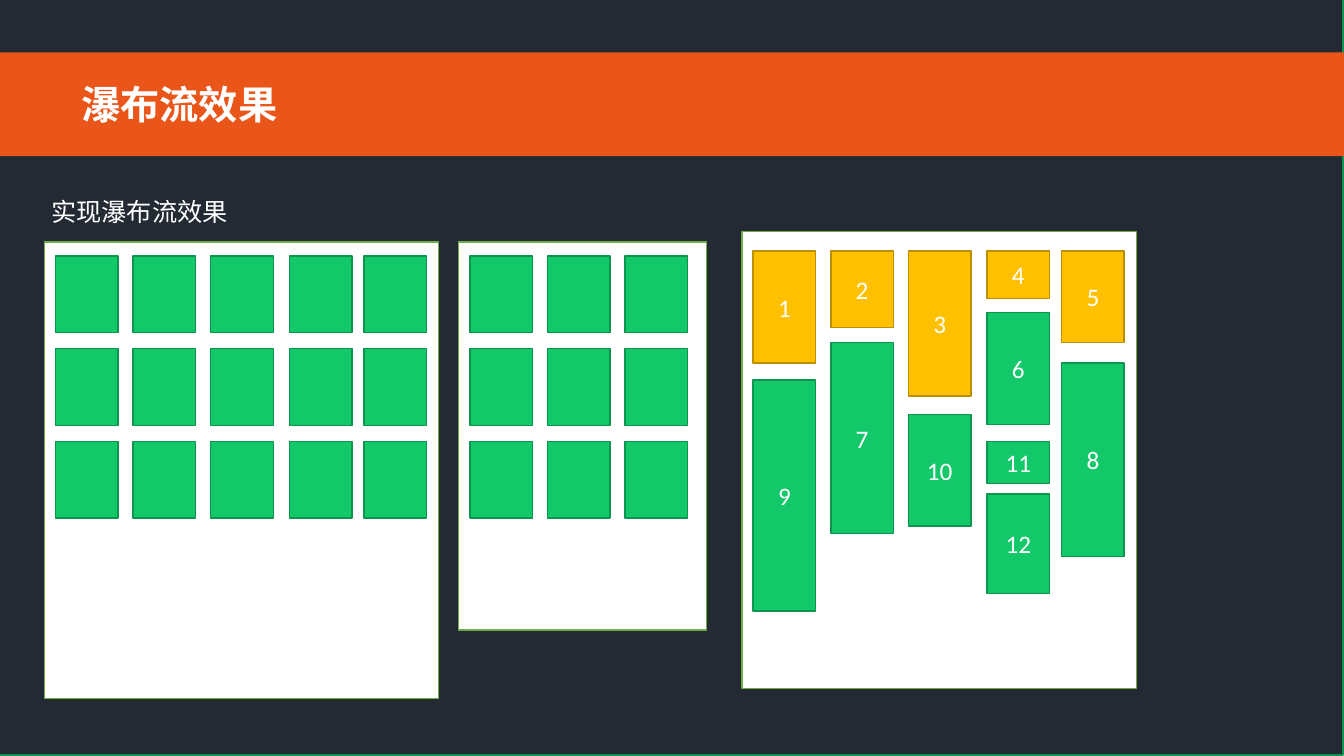
import dataclasses

import lxml.etree
import pptx
import pptx.dml.color
import pptx.enum.shapes
import pptx.enum.text
import pptx.oxml.ns
import pptx.util


@dataclasses.dataclass(frozen=True)
class Theme:
    dark: str = "232A34"
    orange: str = "EA5519"
    white: str = "FFFFFF"
    panel_line: str = "70AD47"
    green: str = "12C869"
    green_line: str = "0D944E"
    yellow: str = "FFC000"
    yellow_line: str = "BD8E00"
    heading_font: str = "Noto Sans CJK SC"
    number_font: str = "Calibri"
    title_size: int = 28
    body_size: int = 18


THEME = Theme()
SLIDE_WIDTH, SLIDE_HEIGHT = 13.33, 7.5

# Card grid: column offsets are measured from a panel's left edge
COLUMNS = (0.11, 0.88, 1.65, 2.43, 3.17)
CARD_WIDTH, CARD_HEIGHT = 0.62, 0.76
ROW_COUNT, FIRST_ROW, ROW_STEP = 3, 0.14, 0.92

# Waterfall columns: (number, top, height) of each card
WATERFALL = (
    ((1, 2.49, 1.11), (9, 3.77, 2.29)),
    ((2, 2.49, 0.76), (7, 3.4, 1.89)),
    ((3, 2.49, 1.44), (10, 4.11, 1.11)),
    ((4, 2.49, 0.47), (6, 3.1, 1.11), (11, 4.38, 0.42), (12, 4.9, 0.99)),
    ((5, 2.49, 0.91), (8, 3.6, 1.92)),
)


def inches(*lengths):
    return [pptx.util.Inches(length) for length in lengths]


def rgb(color):
    return pptx.dml.color.RGBColor.from_string(color)


def write_text(frame, text, *, size, font, bold=False, align=None, spacing=None):
    paragraph = frame.paragraphs[0]
    paragraph.alignment = align
    paragraph.line_spacing = spacing
    run = paragraph.add_run()
    run.text = text
    run.font.size = pptx.util.Pt(size)
    run.font.bold = bold
    run.font.name = font
    run.font.color.rgb = rgb(THEME.white)
    # East Asian characters take their typeface from a:ea
    properties = run.font._element
    east_asian = lxml.etree.SubElement(properties, pptx.oxml.ns.qn("a:ea"))
    east_asian.set("typeface", font)


def add_box(slide, left, top, width, height, fill, line=None):
    shape = slide.shapes.add_shape(
        pptx.enum.shapes.MSO_SHAPE.RECTANGLE, *inches(left, top, width, height)
    )
    shape.shadow.inherit = False
    shape.fill.solid()
    shape.fill.fore_color.rgb = rgb(fill)
    if line:
        shape.line.color.rgb = rgb(line)
        shape.line.width = pptx.util.Pt(1)
    else:
        shape.line.fill.background()
    return shape


def add_label(slide, left, top, width, height, text, **text_format):
    frame = slide.shapes.add_textbox(*inches(left, top, width, height)).text_frame
    frame.word_wrap = True
    frame.auto_size = pptx.enum.text.MSO_AUTO_SIZE.SHAPE_TO_FIT_TEXT
    write_text(frame, text, font=THEME.heading_font, **text_format)


def add_panel(slide, left, top, width, height):
    add_box(slide, left, top, width, height, THEME.white, THEME.panel_line)


def add_card_panel(slide, left, top, width, height, column_count):
    add_panel(slide, left, top, width, height)
    for row in range(ROW_COUNT):
        card_top = top + FIRST_ROW + row * ROW_STEP
        for offset in COLUMNS[:column_count]:
            add_box(slide, left + offset, card_top, CARD_WIDTH, CARD_HEIGHT,
                    THEME.green, THEME.green_line)


def add_waterfall_panel(slide, left, top, width, height):
    add_panel(slide, left, top, width, height)
    for offset, cards in zip(COLUMNS, WATERFALL):
        for number, card_top, card_height in cards:
            # The first row of cards is highlighted
            if number <= len(COLUMNS):
                colors = THEME.yellow, THEME.yellow_line
            else:
                colors = THEME.green, THEME.green_line
            card = add_box(slide, left + offset, card_top, CARD_WIDTH, card_height, *colors)
            card.text_frame.vertical_anchor = pptx.enum.text.MSO_ANCHOR.MIDDLE
            write_text(card.text_frame, str(number), size=THEME.body_size,
                       font=THEME.number_font, align=pptx.enum.text.PP_ALIGN.CENTER)


def main():
    presentation = pptx.Presentation()
    presentation.slide_width, presentation.slide_height = inches(SLIDE_WIDTH, SLIDE_HEIGHT)
    slide = presentation.slides.add_slide(presentation.slide_layouts[6])

    # Backdrop and title band
    add_box(slide, -0.01, -0.01, SLIDE_WIDTH, SLIDE_HEIGHT, THEME.dark, THEME.green_line)
    add_box(slide, 0, 0.52, SLIDE_WIDTH, 1.03, THEME.orange)
    add_label(slide, 0.71, 0.75, 10.57, 0.57, "瀑布流效果", size=THEME.title_size, bold=True)
    add_label(slide, 0.41, 1.75, 12.35, 0.55, "实现瀑布流效果", size=THEME.body_size, spacing=1.5)

    # Regular grids, then the waterfall
    add_card_panel(slide, 0.44, 2.4, 3.91, 4.53, column_count=5)
    add_card_panel(slide, 4.55, 2.4, 2.46, 3.85, column_count=3)
    add_waterfall_panel(slide, 7.36, 2.3, 3.91, 4.53)

    presentation.save("out.pptx")


if __name__ == "__main__":
    main()
